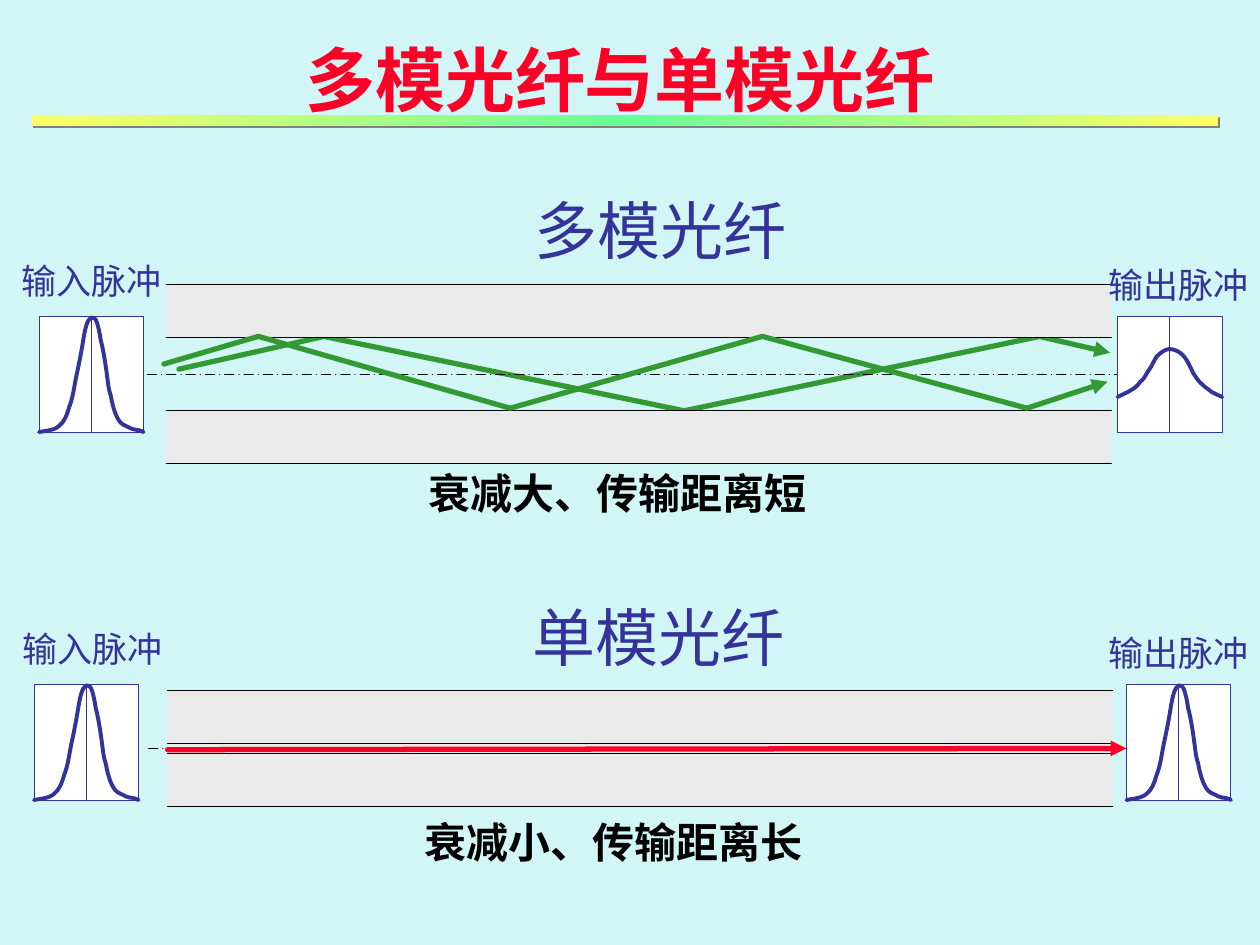
from pptx import Presentation
from pptx.dml.color import RGBColor
from pptx.enum.dml import MSO_LINE
from pptx.enum.lang import MSO_LANGUAGE_ID
from pptx.enum.shapes import MSO_CONNECTOR, MSO_SHAPE
from pptx.enum.text import MSO_ANCHOR, PP_ALIGN
from pptx.oxml import parse_xml
from pptx.oxml.ns import nsdecls, qn
from pptx.util import Inches, Pt
from lxml import etree

RECT, STRAIGHT = MSO_SHAPE.RECTANGLE, MSO_CONNECTOR.STRAIGHT
DASH = MSO_LINE.LONG_DASH_DOT
MIDDLE, CENTER = MSO_ANCHOR.MIDDLE, PP_ALIGN.CENTER
CHINESE = MSO_LANGUAGE_ID.SIMPLIFIED_CHINESE

NAVY, RED, GREEN, BLACK = "333399", "FC0128", "339933", "000000"
GREY, WHITE, BACKGROUND = "EAEAEA", "FFFFFF", "D2F6F5"
EAST_ASIAN_FONT = "Noto Sans CJK SC"
PULSE_WIDTH, PULSE_HEIGHT = 0.83, 0.92
FIBER_WIDTH, CLADDING = 7.5, 0.42

# Text formats
TITLE = {"size": Pt(40), "name": "Times New Roman", "bold": True}
HEADING = {"size": Pt(36), "name": "Lato"}
LABEL = {"size": Pt(20), "name": EAST_ASIAN_FONT}
REMARK = {"size": Pt(24), "name": "Times New Roman", "bold": True}

# Bezier points of the pulses, in inches from the frame's corner
NARROW = [
    (0, .91), (.03, .90), (.12, .90), (.16, .86), (.20, .83), (.22, .78), (.24, .71),
    (.27, .64), (.28, .54), (.30, .45), (.32, .36), (.34, .25), (.35, .19),
    (.36, .12), (.37, .08), (.38, .05), (.39, .02), (.41, 0), (.42, 0),
    (.44, 0), (.45, .01), (.46, .04), (.47, .07), (.48, .11), (.49, .18),
    (.51, .25), (.53, .38), (.54, .46), (.55, .53), (.55, .56), (.57, .62),
    (.58, .68), (.60, .76), (.63, .81), (.65, .85), (.69, .86), (.71, .87),
    (.74, .89), (.74, .88), (.76, .89), (.78, .89), (.82, .90), (.83, .91)]
WIDE = [
    (0, .63), (.02, .62), (.07, .60), (.10, .58), (.14, .56), (.16, .54), (.18, .51),
    (.21, .49), (.22, .46), (.24, .43), (.27, .39), (.29, .34), (.31, .31),
    (.34, .28), (.38, .25), (.41, .25), (.45, .25), (.49, .27), (.52, .30),
    (.55, .33), (.58, .40), (.60, .44), (.62, .47), (.63, .49), (.65, .51),
    (.67, .53), (.69, .55), (.72, .57), (.75, .60), (.81, .62), (.83, .63)]

# Light paths in the multimode core
LOW_RAY = [(1.42, 2.93), (2.57, 2.67), (5.43, 3.26), (8.25, 2.67), (8.81, 2.8)]
HIGH_RAY = [(1.3, 2.89), (2.05, 2.67), (4.05, 3.24), (6.05, 2.67), (8.15, 3.24),
            (8.79, 3.03)]

# Fibers with their pulses (left, top, curve)
SINGLE_MODE = {"left": 1.33, "top": 5.48, "core": 0.08,
               "pulses": [(0.27, 5.43, NARROW), (8.94, 5.43, NARROW)]}
MULTIMODE = {"left": 1.32, "top": 2.26, "core": 0.58,
             "pulses": [(0.31, 2.51, NARROW), (8.87, 2.51, WIDE)]}

# Texts: wording, box, format, colour
TEXTS = [
    ("输入脉冲", (0.08, 4.93, 1.31, 0.44), LABEL, NAVY),
    ("输出脉冲", (8.7, 4.96, 1.31, 0.44), LABEL, NAVY),
    ("单模光纤", (4.13, 4.7, 2.2, 0.7), HEADING, NAVY),
    ("输入脉冲", (0.07, 2.01, 1.31, 0.44), LABEL, NAVY),
    ("输出脉冲", (8.7, 2.04, 1.31, 0.44), LABEL, NAVY),
    ("多模光纤", (4.14, 1.47, 2.2, 0.7), HEADING, NAVY),
    ("衰减小、传输距离长", (3.27, 6.43, 3.2, 0.5), REMARK, BLACK),
    ("衰减大、传输距离短", (3.3, 3.66, 3.2, 0.5), REMARK, BLACK)]

deck = Presentation()
deck.slide_width, deck.slide_height = Inches(10), Inches(7.5)
page = deck.slides.add_slide(deck.slide_layouts[6])


def color(value):
    return RGBColor.from_string(value)


def style_line(line, value, width, arrow=False):
    line.color.rgb = color(value)
    line.width = Pt(width)
    outline = line._get_or_add_ln()
    outline.set("cap", "rnd")
    if arrow:
        etree.SubElement(outline, qn("a:tailEnd")).set("type", "triangle")


def add_rect(left, top, width, height, fill=None, line=None):
    shape = page.shapes.add_shape(RECT, *map(Inches, (left, top, width, height)))
    shape.shadow.inherit = False
    if fill:
        shape.fill.solid()
        shape.fill.fore_color.rgb = color(fill)
    if line:
        style_line(shape.line, *line)
    else:
        shape.line.fill.background()
    return shape


def add_line(start, end, value=BLACK, width=0.75, arrow=False):
    connector = page.shapes.add_connector(STRAIGHT, *map(Inches, start + end))
    style_line(connector.line, value, width, arrow)
    etree.SubElement(connector._element.spPr, qn("a:effectLst"))
    return connector


def add_path(points, value, width, arrow=False):
    corners = [(Inches(x), Inches(y)) for x, y in points]
    builder = page.shapes.build_freeform(*corners[0])
    builder.add_line_segments(corners[1:], close=False)
    shape = builder.convert_to_shape()
    shape.shadow.inherit = False
    shape.fill.background()
    style_line(shape.line, value, width, arrow)
    return shape


def make_curved(shape):
    """Turn each three line segments into one cubic Bezier segment."""
    segments = list(shape._element.iter(qn("a:lnTo")))
    for i in range(0, len(segments), 3):
        curve = etree.Element(qn("a:cubicBezTo"))
        segments[i].addprevious(curve)
        for segment in segments[i:i + 3]:
            curve.append(segment[0])
            segment.getparent().remove(segment)


def add_pulse(left, top, curve):
    add_rect(left, top, PULSE_WIDTH, PULSE_HEIGHT, WHITE, (NAVY, 0.5))
    middle = left + PULSE_WIDTH / 2
    add_line((middle, top), (middle, top + PULSE_HEIGHT), NAVY, 0.5)
    make_curved(add_path([(left + x, top + 0.01 + y) for x, y in curve], NAVY, 2.25))


def add_fiber(left, top, core, pulses):
    right, lower = left + FIBER_WIDTH, top + CLADDING + core
    for y in (top, lower):
        add_rect(left, y, FIBER_WIDTH, CLADDING, GREY)
    for y in (top, top + CLADDING, lower, lower + CLADDING):
        add_line((left, y), (right, y))
    axis = top + CLADDING + core / 2
    add_line((left - 0.15, axis), (right + 0.12, axis)).line.dash_style = DASH
    for pulse in pulses:
        add_pulse(*pulse)


def add_text(text, place, font, value, wrap=False):
    box = page.shapes.add_textbox(*map(Inches, place))
    box.text_frame.word_wrap = wrap
    para = box.text_frame.paragraphs[0]
    span = para.add_run()
    span.text = text
    for name, setting in font.items():
        setattr(span.font, name, setting)
    span.font.color.rgb = color(value)
    span.font.language_id = CHINESE
    east_asian = etree.SubElement(span.font._element, qn("a:ea"))
    east_asian.set("typeface", EAST_ASIAN_FONT)
    return box


# Background
page.background.fill.solid()
page.background.fill.fore_color.rgb = color(BACKGROUND)

# Single-mode fiber on its grey core, then the title
add_rect(1.33, 5.65, FIBER_WIDTH, 0.58, GREY)
add_fiber(**SINGLE_MODE)
title = add_text("多模光纤与单模光纤", (0.67, 0, 8.5, 1.25), TITLE, RED, wrap=True)
title.text_frame.vertical_anchor = MIDDLE
title.text_frame.paragraphs[0].alignment = CENTER

# Multimode fiber and the light in both fibers
add_path(LOW_RAY, GREEN, 3, arrow=True)
add_fiber(**MULTIMODE)
add_line((1.33, 5.95), (8.94, 5.94), RED, 3, arrow=True)
add_path(HIGH_RAY, GREEN, 3, arrow=True)

# Gradient rule with a hard shadow under the title
rule = add_rect(0.25, 0.92, 9.42, 0.08)
stops = "".join(
    f'<a:gs pos="{pos}"><a:srgbClr val="{value}"/></a:gs>'
    for pos, value in ((0, "FFFF66"), (50000, "66FF99"), (100000, "FFFF66")))
properties = rule._element.spPr
properties.find(qn("a:prstGeom")).addnext(parse_xml(
    f'<a:gradFill {nsdecls("a")}><a:gsLst>{stops}</a:gsLst>'
    '<a:lin ang="13500000" scaled="1"/></a:gradFill>'))
properties.find(qn("a:effectLst")).append(parse_xml(
    f'<a:outerShdw {nsdecls("a")} blurRad="0" dist="17780" dir="2700000" algn="ctr" '
    'rotWithShape="0"><a:srgbClr val="808080"/></a:outerShdw>'))

# Headings, labels and remarks
for entry in TEXTS:
    add_text(*entry)

deck.save("out.pptx")
